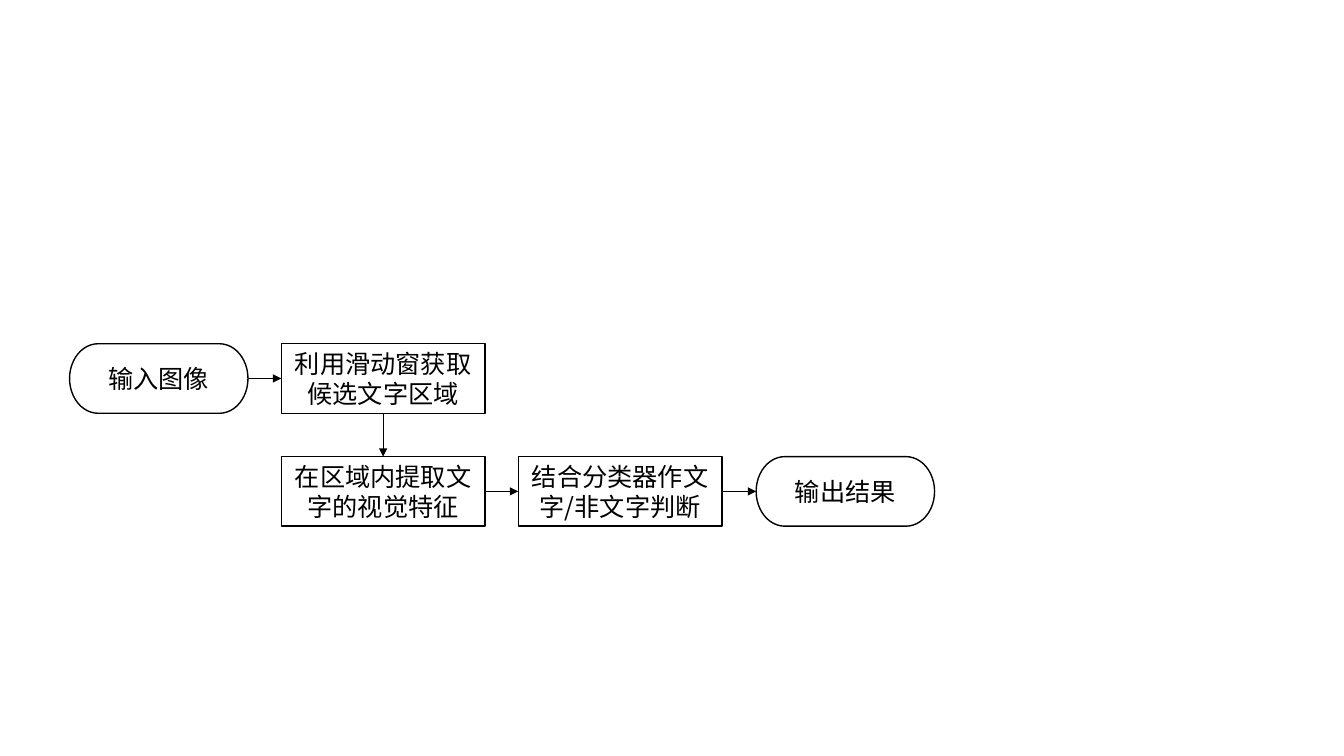
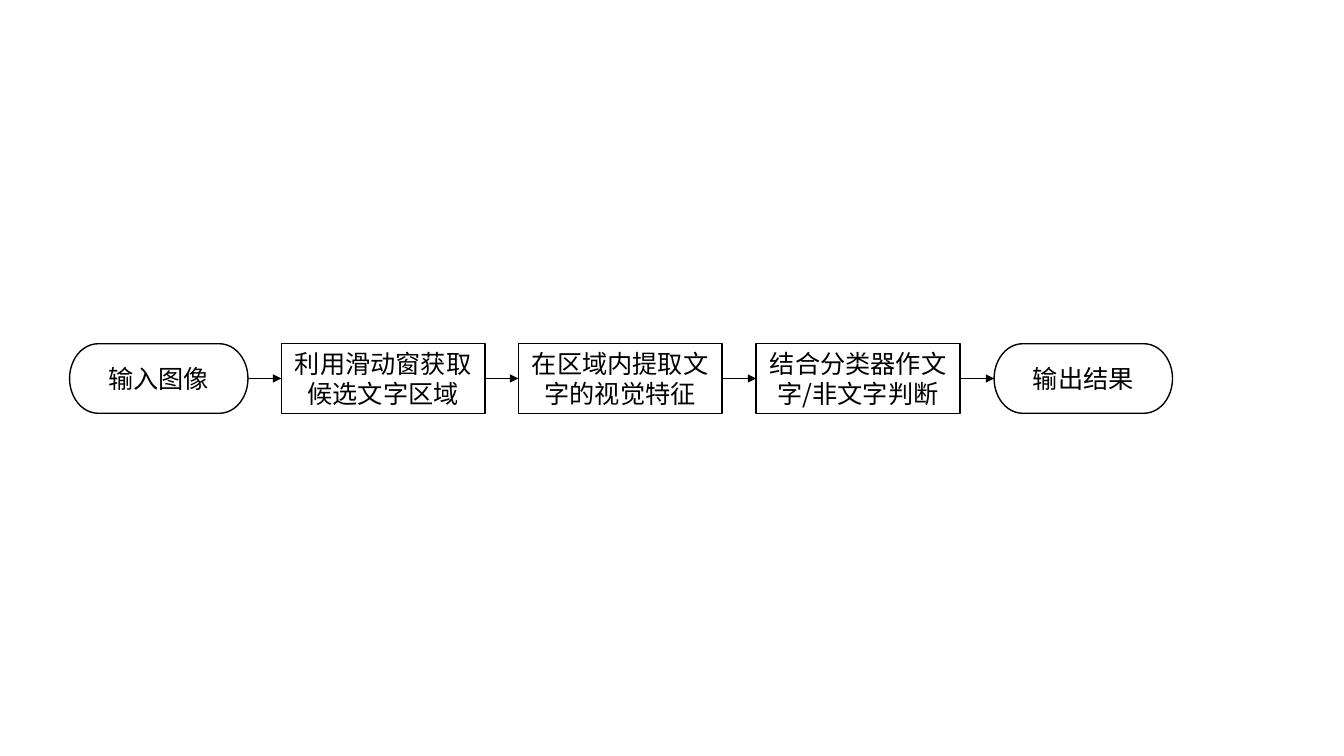
from itertools import pairwise

from lxml.etree import SubElement
from pptx import Presentation
from pptx.dml.color import RGBColor
from pptx.enum.shapes import MSO_CONNECTOR as Connector, MSO_SHAPE as Shape
from pptx.enum.text import MSO_ANCHOR as Anchor, PP_ALIGN as Align
from pptx.oxml.ns import qn
from pptx.util import Inches, Pt

FONT = "Noto Sans CJK SC"
INK, PAPER = "000000", "FFFFFF"

COLUMNS = (0.69, 2.79, 5.14, 7.5, 9.86)
ROWS = (3.41, 4.53)
HEIGHT = 0.69
WIDTHS = {Shape.FLOWCHART_TERMINATOR: 1.77, Shape.FLOWCHART_PROCESS: 2.02}

# Connection sites, counted anticlockwise from the top
TOP, LEFT, BOTTOM, RIGHT = range(4)

STEPS = (
    (Shape.FLOWCHART_TERMINATOR, "输入图像"),
    (Shape.FLOWCHART_PROCESS, "利用滑动窗获取候选文字区域"),
    (Shape.FLOWCHART_PROCESS, "在区域内提取文字的视觉特征"),
    (Shape.FLOWCHART_PROCESS, "结合分类器作文字/非文字判断"),
    (Shape.FLOWCHART_TERMINATOR, "输出结果"),
)

# The (column, row) of each step
TWO_ROW_LAYOUT = ((0, 0), (1, 0), (1, 1), (2, 1), (3, 1))
ONE_ROW_LAYOUT = tuple((column, 0) for column in range(len(STEPS)))


def color(value):
    """Turn a hex string into a colour."""
    return RGBColor.from_string(value)


def add_step(page, kind, label, column, row):
    """Add one outlined step of the flow with a centred label."""
    box = page.shapes.add_shape(
        kind, Inches(COLUMNS[column]), Inches(ROWS[row]),
        Inches(WIDTHS[kind]), Inches(HEIGHT))
    box.shadow.inherit = False
    box.fill.solid()
    box.fill.fore_color.rgb = color(PAPER)
    box.line.color.rgb = color(INK)
    box.line.width = Pt(1)

    frame = box.text_frame
    frame.word_wrap = True
    frame.vertical_anchor = Anchor.MIDDLE
    para = frame.paragraphs[0]
    para.text = label
    para.alignment = Align.CENTER
    para.font.size = Pt(18)
    para.font.name = FONT
    para.font.color.rgb = color(INK)
    east_asian = SubElement(para.font._element, qn("a:ea"))
    east_asian.set("typeface", FONT)
    return box


def add_arrow(page, start, start_site, end, end_site):
    """Join two steps with a thin arrow."""
    arrow = page.shapes.add_connector(Connector.STRAIGHT, 0, 0, 0, 0)
    arrow.begin_connect(start, start_site)
    arrow.end_connect(end, end_site)
    arrow.line.color.rgb = color(INK)
    arrow.line.width = Pt(0.5)
    SubElement(arrow.line._get_or_add_ln(), qn("a:tailEnd")).set("type", "triangle")
    SubElement(arrow._element.spPr, qn("a:effectLst"))


def add_flow(deck, layout):
    """Add a slide with the steps placed by layout and joined in order."""
    page = deck.slides.add_slide(deck.slide_layouts[6])
    boxes = [add_step(page, kind, label, column, row)
             for (kind, label), (column, row) in zip(STEPS, layout)]
    for (start, start_cell), (end, end_cell) in pairwise(zip(boxes, layout)):
        same_row = start_cell[1] == end_cell[1]
        sites = (RIGHT, LEFT) if same_row else (BOTTOM, TOP)
        add_arrow(page, start, sites[0], end, sites[1])


def main():
    """Build and save the deck."""
    deck = Presentation()
    deck.slide_width, deck.slide_height = Inches(13.33), Inches(7.5)
    for layout in (TWO_ROW_LAYOUT, ONE_ROW_LAYOUT):
        add_flow(deck, layout)
    deck.save("out.pptx")


main()
